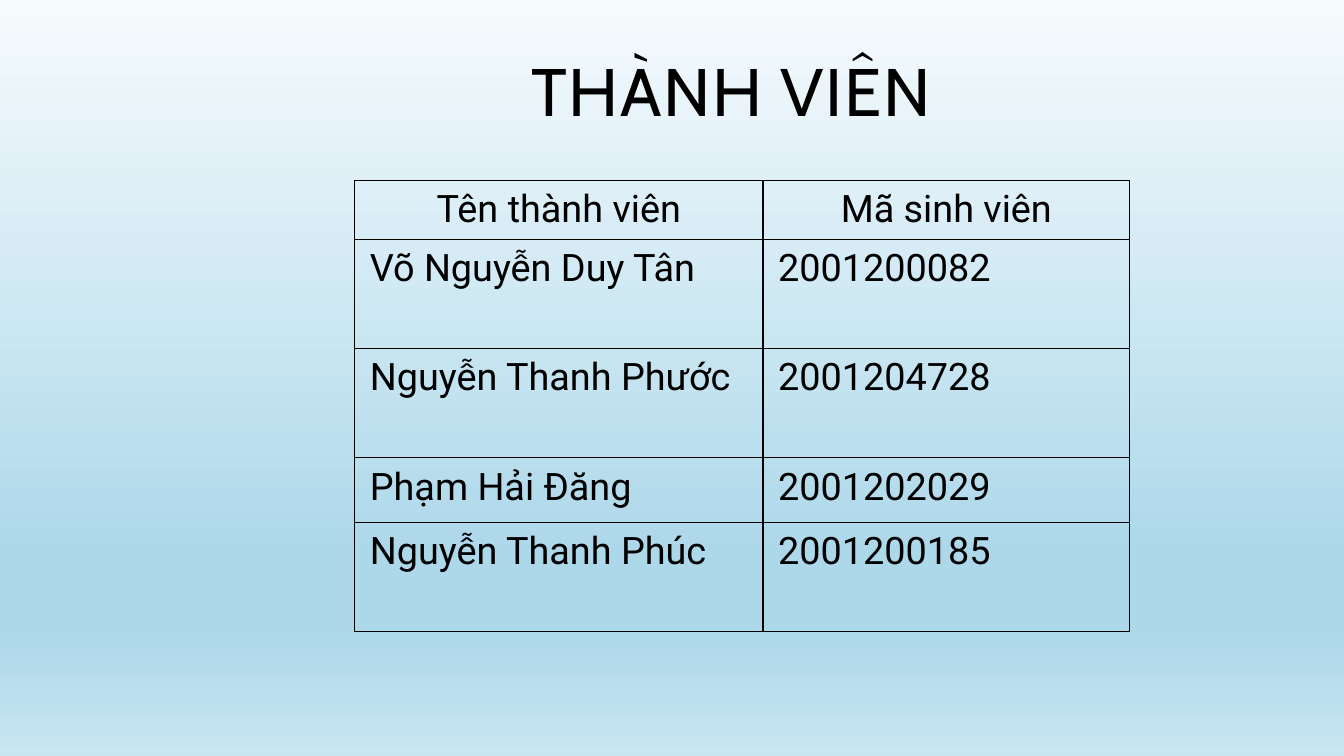
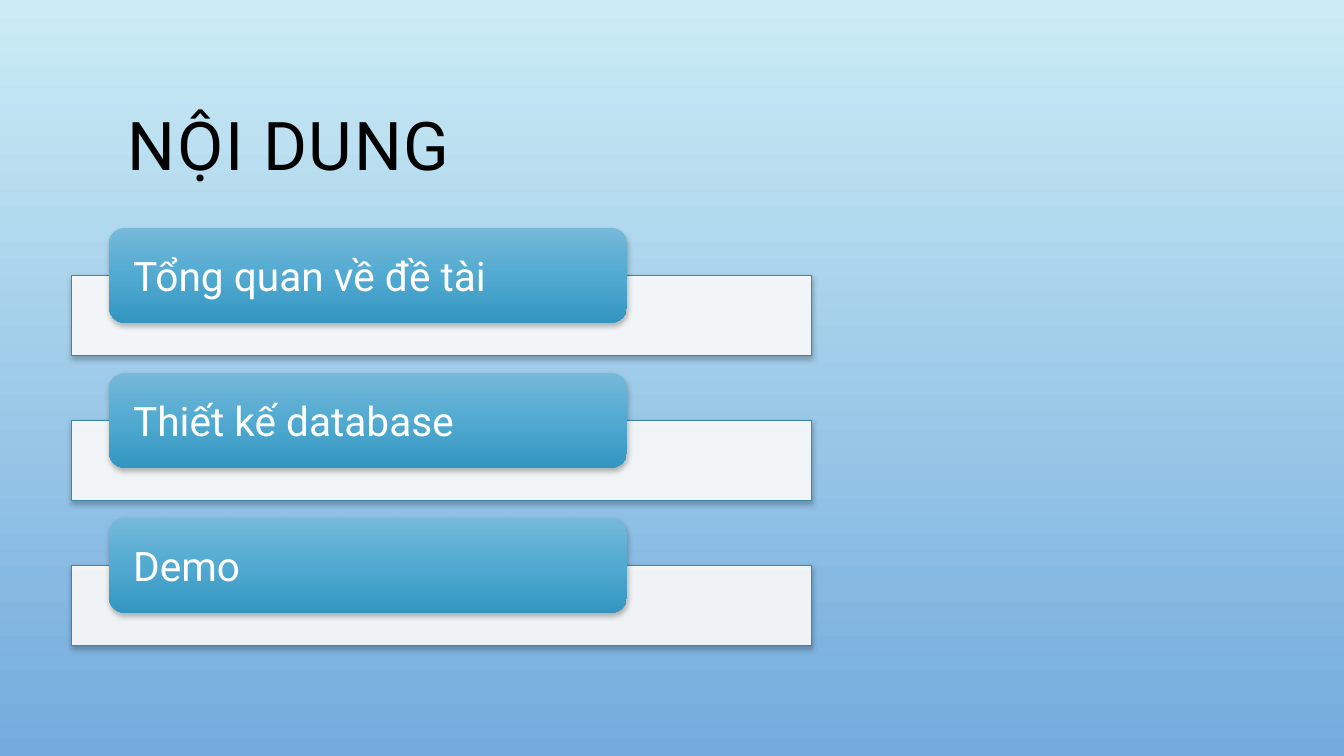
import pptx
import pptx.dml.color
import pptx.enum.shapes
import pptx.enum.text
import pptx.oxml
import pptx.oxml.ns
import pptx.util

Pt = pptx.util.Pt
qn = pptx.oxml.ns.qn
Align = pptx.enum.text.PP_ALIGN
Anchor = pptx.enum.text.MSO_ANCHOR
Form = pptx.enum.shapes.MSO_SHAPE
NS = pptx.oxml.ns.nsdecls("a")

COLORS = {"ink": "000000", "paper": "FFFFFF", "edge": "3A87A7"}
MIST = [(0, "F6FBFD"), (74, "ADD8EA"), (83, "ADD8EA"), (100, "C8E5F1")]
SKY = [(0, "CBECF5"), (100, "73ABDD")]
GLOSS = [(0, "76B9D9"), (50, "52AAD1"), (100, "3396C0")]


class Deck:
    """Holds the style and the current slide, and draws each kind of element."""

    font = "Roboto"

    def __init__(self):
        self.file = pptx.Presentation()
        self.file.slide_width, self.file.slide_height = Pt(960), Pt(540)

    def color(self, name):
        return pptx.dml.color.RGBColor.from_string(COLORS[name])

    def blend(self, fill, root, stops):
        fill.gradient()
        fill.gradient_angle = 270
        box = next(root.iter(qn("a:gsLst")))
        for stop in list(box):
            box.remove(stop)
        for place, shade in stops:
            box.append(pptx.oxml.parse_xml(
                f'<a:gs {NS} pos="{place * 1000}"><a:srgbClr val="{shade}"/></a:gs>'))

    def slide(self, stops):
        self.page = self.file.slides.add_slide(self.file.slide_layouts[5])
        self.blend(self.page.background.fill, self.page.element, stops)

    def text(self, frame, words, size, color="ink", align=Align.LEFT, font=None):
        frame.text = words
        para = frame.paragraphs[0]
        para.alignment = align
        face = para.runs[0].font
        face.name, face.size, face.bold = font or self.font, Pt(size), False
        face.color.rgb = self.color(color)
        return para

    def title(self, words, left, top, font=None):
        shape = self.page.shapes.title
        shape.left, shape.top, shape.width, shape.height = map(Pt, (left, top, 329, 88))
        frame = shape.text_frame
        frame.word_wrap = True
        frame.auto_size = pptx.enum.text.MSO_AUTO_SIZE.NONE
        frame.vertical_anchor = Anchor.BOTTOM
        para = self.text(frame, words, 48, align=Align.CENTER, font=font)
        para.line_spacing, para.space_after = 0.9, Pt(4.5)
        next(shape.element.iter(qn("a:rPr"))).set("spc", "120")

    def table(self, rows, left, top, widths, heights):
        frame = self.page.shapes.add_table(
            len(rows), len(widths), Pt(left), Pt(top), Pt(sum(widths)), Pt(sum(heights)))
        grid = frame.table
        grid.first_row = grid.horz_banding = False
        for col, width in zip(grid.columns, widths):
            col.width = Pt(width)
        for i, (row, height) in enumerate(zip(rows, heights)):
            grid.rows[i].height = Pt(height)
            for j, words in enumerate(row):
                self.cell(grid.cell(i, j), words, Align.LEFT if i else Align.CENTER)

    def cell(self, cell, words, align):
        cell.fill.background()
        cell.margin_left = cell.margin_right = Pt(10.8)
        cell.margin_top = cell.margin_bottom = Pt(5.2)
        self.text(cell.text_frame, words, 27, align=align)
        props = next(cell.text_frame._txBody.getparent().iter(qn("a:tcPr")))
        for i, side in enumerate("LRTB"):
            props.insert(i, pptx.oxml.parse_xml(
                f'<a:ln{side} {NS} w="12700"><a:solidFill>'
                f'<a:srgbClr val="{COLORS["ink"]}"/></a:solidFill></a:ln{side}>'))

    def block(self, form, left, top, width, height):
        shape = self.page.shapes.add_shape(form, *map(Pt, (left, top, width, height)))
        shape.shadow.inherit = False
        next(shape.element.iter(qn("a:effectLst"))).append(pptx.oxml.parse_xml(
            f'<a:outerShdw {NS} blurRad="{Pt(4)}" dist="{Pt(2)}" dir="5400000" rotWithShape="0">'
            f'<a:srgbClr val="{COLORS["ink"]}"><a:alpha val="28000"/></a:srgbClr></a:outerShdw>'))
        return shape

    def bar(self, left, top):
        shape = self.block(Form.RECTANGLE, left, top, 528.5, 57.5)
        shape.fill.solid()
        shape.fill.fore_color.rgb = self.color("paper")
        tint = next(shape.element.spPr.iter(qn("a:srgbClr")))
        tint.append(pptx.oxml.parse_xml(f'<a:alpha {NS} val="90000"/>'))
        shape.line.color.rgb = self.color("edge")
        shape.line.width = Pt(0.75)

    def label(self, words, left, top):
        shape = self.block(Form.ROUNDED_RECTANGLE, left, top, 370, 67.7)
        self.blend(shape.fill, shape.element, GLOSS)
        shape.line.fill.background()
        frame = shape.text_frame
        frame.word_wrap = True
        frame.vertical_anchor = Anchor.MIDDLE
        frame.margin_left = frame.margin_right = Pt(14)
        frame.margin_top = frame.margin_bottom = 0
        self.text(frame, words, 29, "paper")


def main():
    deck = Deck()

    deck.slide(MIST)
    deck.title("THÀNH VIÊN", 358, 9.4, "Cabin")
    deck.table([
        ("Tên thành viên", "Mã sinh viên"),
        ("Võ Nguyễn Duy Tân", "2001200082"),
        ("Nguyễn Thanh Phước", "2001204728"),
        ("Phạm Hải Đăng", "2001202029"),
        ("Nguyễn Thanh Phúc", "2001200185"),
    ], 253.4, 128.9, (291.6, 262), (42, 78, 78, 46, 78))

    deck.slide(SKY)
    deck.title("NỘI DUNG", 41.8, 47.5)
    for i, words in enumerate(("Tổng quan về đề tài", "Thiết kế database", "Demo")):
        top = 162.8 + 103.6 * i
        deck.bar(51, top + 33.8)
        deck.label(words, 77.8, top)

    deck.file.save("out.pptx")


if __name__ == "__main__":
    main()
